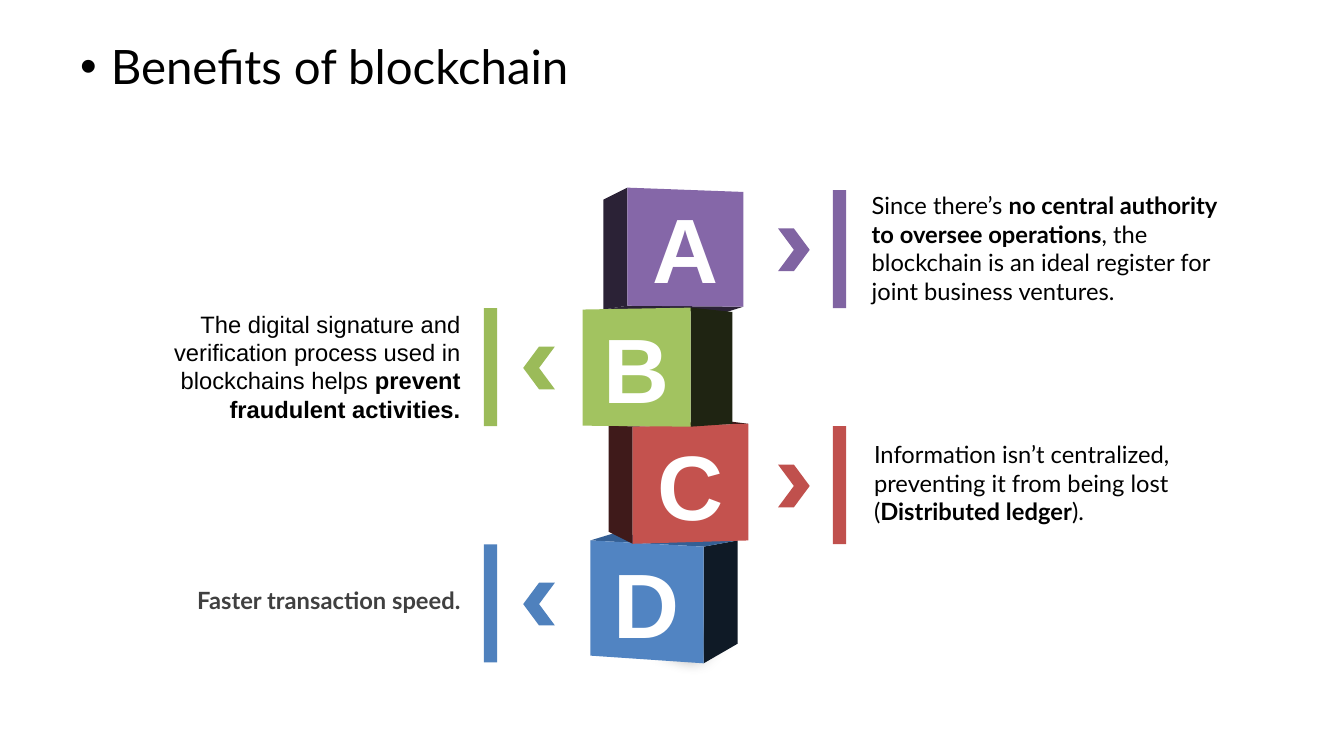
from lxml import etree
from pptx import Presentation
from pptx.dml.color import RGBColor
from pptx.enum.shapes import MSO_SHAPE as Preset
from pptx.enum.text import MSO_ANCHOR as Anchor, PP_ALIGN as Align
from pptx.oxml.ns import qn
from pptx.util import Cm, Pt

BLACK = RGBColor(0x00, 0x00, 0x00)
WHITE = RGBColor(0xFF, 0xFF, 0xFF)
GREY = RGBColor(0x59, 0x59, 0x59)
DARK_GREY = RGBColor(0x40, 0x40, 0x40)
PURPLE = RGBColor(0x80, 0x64, 0xA2)
GREEN = RGBColor(0x9B, 0xBB, 0x59)
RED = RGBColor(0xC0, 0x50, 0x4D)
BLUE = RGBColor(0x4F, 0x81, 0xBD)
PURPLE_FRONT = RGBColor(0x85, 0x67, 0xA8)
GREEN_FRONT = RGBColor(0xA2, 0xC3, 0x60)
RED_FRONT = RGBColor(0xC4, 0x52, 0x4E)
BLUE_FRONT = RGBColor(0x51, 0x84, 0xC2)
PURPLE_SHADE = RGBColor(0x2B, 0x22, 0x36)
GREEN_SHADE = RGBColor(0x1F, 0x24, 0x12)
RED_SHADE = RGBColor(0x3F, 0x1A, 0x1A)
BLUE_SHADE = RGBColor(0x0F, 0x1A, 0x26)
BLUE_TOP = RGBColor(0x34, 0x5F, 0x94)

prs = Presentation()
prs.slide_width, prs.slide_height = Cm(28), Cm(15.75)
slide = prs.slides.add_slide(prs.slide_layouts[6])
shapes = slide.shapes


def paint(shape, color):
    """Give the shape a flat fill without line or shadow."""
    shape.shadow.inherit = False
    shape.fill.solid()
    shape.fill.fore_color.rgb = color
    shape.line.fill.background()
    return shape


def add_face(corners, color):
    """Draw a filled polygon through corners given in centimetres."""
    points = [(Cm(x), Cm(y)) for x, y in corners]
    builder = shapes.build_freeform(*points[0])
    builder.add_line_segments(points[1:], close=True)
    return paint(builder.convert_to_shape(), color)


# Title
title = shapes.add_textbox(Cm(1.42), Cm(0.79), Cm(26.5), Cm(1.65)).text_frame
title.word_wrap = True
heading = title.paragraphs[0]
heading.text = "Benefits of blockchain"
heading.line_spacing = 0.9
heading.space_before = Pt(10)
heading.font.size = Pt(28)
heading.font.name = "Lato"
heading.font.color.rgb = BLACK
indents = heading._p.get_or_add_pPr()
indents.set("marL", str(Cm(0.64)))
indents.set("indent", str(-Cm(0.64)))
etree.SubElement(indents, qn("a:buFont")).set("typeface", "Arial")
etree.SubElement(indents, qn("a:buChar")).set("char", "•")

# Soft shadow on the ground
ground = add_face([(12.1, 13.5), (14.6, 12.7), (16.2, 12.8), (14.7, 14.3)], GREY)
effects = ground._element.spPr.find(qn("a:effectLst"))
etree.SubElement(effects, qn("a:softEdge")).set("rad", str(Cm(0.4)))

# Stack of cubes: shaded faces first, then the front with its letter
cubes = [
    ("D", BLUE_FRONT, [(12.3, 11.26), (14.66, 11.39), (14.66, 13.82), (12.3, 13.66)],
     [(BLUE_SHADE, [(14.66, 11.39), (15.37, 11.26), (15.37, 13.41), (14.66, 13.82)]),
      (BLUE_TOP, [(12.3, 11.26), (12.76, 11.12), (15.37, 11.26), (14.66, 11.39)])]),
    ("C", RED_FRONT, [(13.18, 8.89), (15.59, 8.83), (15.59, 11.26), (13.18, 11.33)],
     [(RED_SHADE, [(12.68, 8.85), (13.18, 8.89), (13.18, 11.33), (12.68, 11.08)]),
      (RED_SHADE, [(12.68, 8.85), (15.2, 8.78), (15.59, 8.83), (13.18, 8.89)])]),
    ("A", PURPLE_FRONT, [(13.07, 3.91), (15.49, 4), (15.49, 6.39), (13.07, 6.37)],
     [(PURPLE_SHADE, [(12.57, 4.16), (13.07, 3.91), (13.07, 6.37), (12.57, 6.45)]),
      (PURPLE_SHADE, [(12.57, 6.45), (13.07, 6.37), (15.49, 6.39), (15.14, 6.5)])]),
    ("B", GREEN_FRONT, [(12.14, 6.45), (14.39, 6.41), (14.39, 8.89), (12.14, 8.87)],
     [(GREEN_SHADE, [(14.39, 6.41), (15.26, 6.5), (15.26, 8.83), (14.39, 8.89)])]),
]
for letter, front_color, front_corners, shaded_faces in cubes:
    for shade, corners in shaded_faces:
        add_face(corners, shade)
    front = add_face(front_corners, front_color).text_frame
    front.vertical_anchor = Anchor.MIDDLE
    caption = front.paragraphs[0]
    caption.text = letter
    caption.alignment = Align.CENTER
    caption.font.size = Pt(54)
    caption.font.bold = True
    caption.font.name = "Arial"
    caption.font.color.rgb = WHITE

# Benefits, alternating right and left; every second run is the opposite weight
ROW_TOP, ROW_HEIGHT = 3.96, 2.46
benefits = [
    (PURPLE, 17.91, 3.86, 2.62, "Lato", BLACK,
     [("Since there’s ", False), ("no central authority to oversee operations", True),
      (", the blockchain is an ideal register for joint business ventures.", False)]),
    (GREEN, 1.57, 6.32, 2.62, "Arial", BLACK,
     [("The digital signature and verification process used in blockchains helps ", False),
      ("prevent fraudulent activities.", True)]),
    (RED, 17.96, 9.04, 2.03, "Lato", BLACK,
     [("Information isn’t centralized, preventing it from being lost (", False),
      ("Distributed ledger", True), (").", False)]),
    (BLUE, 1.57, 12.07, 0.84, "Lato", DARK_GREY, [("Faster transaction speed.", True)]),
]
for row, (color, left, top, height, font_name, text_color, runs) in enumerate(benefits):
    on_left = row % 2 == 1
    row_top = ROW_TOP + row * ROW_HEIGHT

    benefit = shapes.add_textbox(Cm(left), Cm(top), Cm(8.28), Cm(height)).text_frame
    benefit.word_wrap = True
    sentence = benefit.paragraphs[0]
    sentence.alignment = Align.RIGHT if on_left else Align.LEFT
    sentence.font.size = Pt(14)
    sentence.font.name = font_name
    sentence.font.color.rgb = text_color
    for words, bold in runs:
        run = sentence.add_run()
        run.text = words
        run.font.bold = bold

    bar_left, arrow_left = (10.08, 10.9) if on_left else (17.35, 16.21)
    paint(shapes.add_shape(Preset.RECTANGLE, Cm(bar_left), Cm(row_top),
                           Cm(0.28), Cm(ROW_HEIGHT)), color)
    arrow = paint(shapes.add_shape(Preset.CHEVRON, Cm(arrow_left), Cm(row_top + 0.8),
                                   Cm(0.66), Cm(0.89)), color)
    arrow.rotation = 180 if on_left else 0

prs.save("out.pptx")
